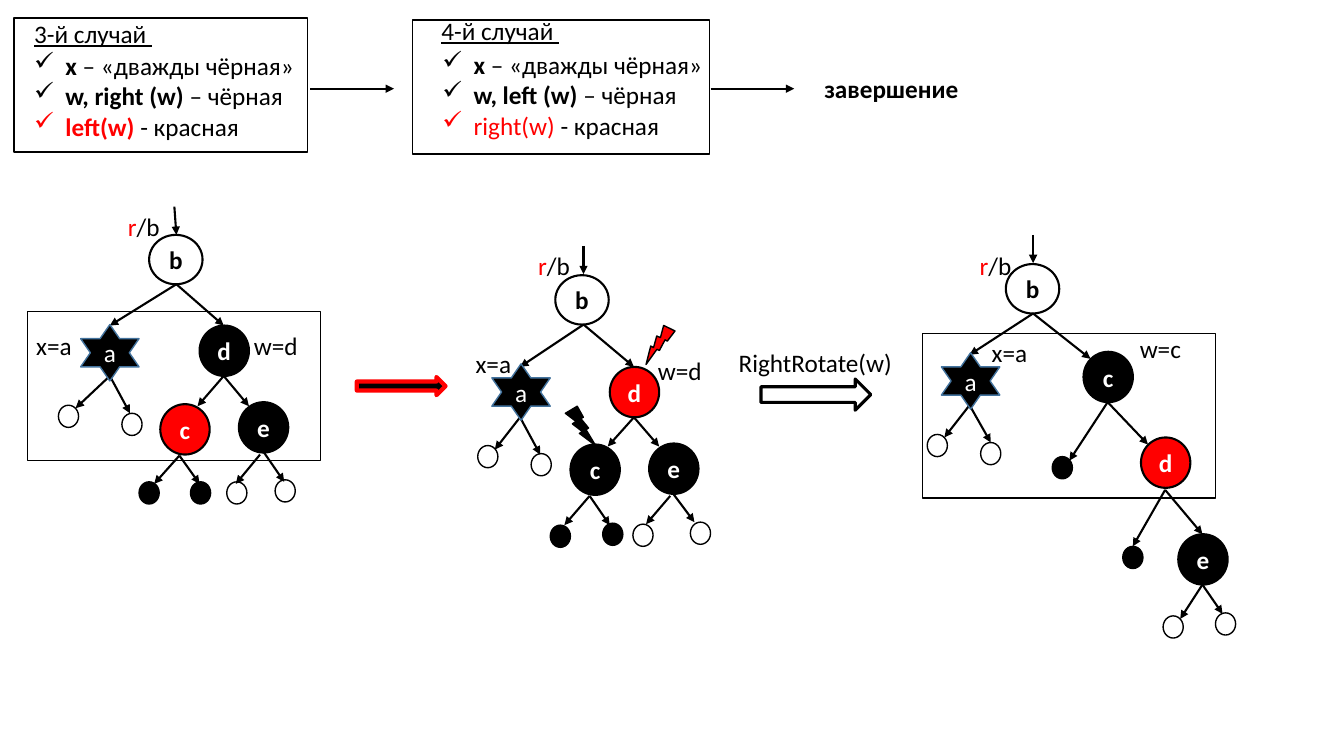
from lxml import etree
from pptx import Presentation
from pptx import util as u
from pptx.dml.color import RGBColor
from pptx.enum import shapes, text
from pptx.oxml.ns import qn

BLACK = RGBColor(0x00, 0x00, 0x00)
WHITE = RGBColor(0xFF, 0xFF, 0xFF)
RED = RGBColor(0xFF, 0x00, 0x00)
STAR_LINE = RGBColor(0x43, 0x73, 0x9E)
GRID = 2.54  # one layout unit in centimetres
PRESET = shapes.MSO_SHAPE

deck = Presentation()
deck.slide_width, deck.slide_height = u.Cm(33.87), u.Cm(19.05)
page = deck.slides.add_slide(deck.slide_layouts[6])


def put_shape(kind, place, fill=None, line=BLACK, width=1, label="", ink=WHITE, bold=True):
    """Add a preset shape with an optional centred label."""
    shape = page.shapes.add_shape(kind, *[u.Cm(GRID * v) for v in place])
    shape.shadow.inherit = False
    if fill is None:
        shape.fill.background()
    else:
        shape.fill.solid()
        shape.fill.fore_color.rgb = fill
    shape.line.color.rgb = line
    shape.line.width = u.Pt(width)
    if label:
        frame = shape.text_frame
        frame.text = label
        frame.word_wrap = False
        frame.margin_left = frame.margin_right = 0
        frame.vertical_anchor = text.MSO_ANCHOR.MIDDLE
        para = frame.paragraphs[0]
        para.alignment = text.PP_ALIGN.CENTER
        font = para.runs[0].font
        font.name, font.size, font.bold = "Calibri", u.Pt(18), bold
        font.color.rgb = ink
    return shape


def put_text(place, lines, wrap=False, bullets=False):
    """Add a text box; each line is a list of (words, colour, bold, underline)."""
    box = page.shapes.add_textbox(*[u.Cm(GRID * v) for v in place])
    frame = box.text_frame
    frame.word_wrap = wrap
    for number, line in enumerate(lines):
        para = frame.add_paragraph() if number else frame.paragraphs[0]
        for words, ink, bold, underline in line:
            span = para.add_run()
            span.text = words
            span.font.name, span.font.size = "Calibri", u.Pt(18)
            span.font.bold, span.font.underline = bold, underline
            span.font.color.rgb = ink
        if bullets:
            props = para._p.get_or_add_pPr()
            props.set("marL", str(u.Cm(0.79)))
            props.set("indent", str(u.Cm(-0.79)))
            etree.SubElement(props, qn("a:buChar")).set("char", "✓")


# Case descriptions
cases = [
    ("3-й случай ", (0.24, 0.13), (0.24, 0.45), "w, right (w) ", "left(w) ", True),
    ("4-й случай ", (4.28, 0.10), (4.29, 0.44), "w, left (w) ", "right(w) ", False),
]
for heading, heading_at, list_at, black_nodes, red_node, red_bold in cases:
    put_text((*list_at, 2.81, 1.01), [
        [("x", BLACK, True, False), (" – «дважды чёрная»", BLACK, False, False)],
        [(black_nodes, BLACK, True, False), ("– чёрная", BLACK, False, False)],
        [(red_node, RED, red_bold, False), ("- красная", BLACK, False, False)],
    ], bullets=True)
    put_text((*heading_at, 1.39, 0.4), [[(heading, BLACK, False, True)]])
put_text((8.08, 0.68, 1.54, 0.4), [[("завершение", BLACK, True, False)]])

# Arrows: start point, then every end point reached from it
arrows = [
    # between the cases
    ((3.08, 0.88), [(3.91, 0.88)]),
    ((7.05, 0.88), [(7.88, 0.88)]),
    # first tree
    ((1.73, 2.05), [(1.75, 2.33)]),
    ((1.75, 2.82), [(1.09, 3.23), (2.22, 3.23)]),
    ((1.09, 3.73), [(0.75, 4.05), (1.29, 4.10)]),
    ((2.22, 3.73), [(1.96, 4.03), (2.47, 4.03)]),
    ((1.78, 4.52), [(1.53, 4.80), (1.98, 4.80)]),
    ((2.58, 4.51), [(2.34, 4.80)]),
    ((2.62, 4.49), [(2.82, 4.78)]),
    # second tree
    ((5.79, 2.44), [(5.79, 2.72)]),
    ((5.79, 3.22), [(5.16, 3.64), (6.29, 3.64)]),
    ((5.16, 4.14), [(4.91, 4.46), (5.36, 4.51)]),
    ((6.29, 4.14), [(6.03, 4.43), (6.54, 4.43)]),
    ((5.85, 4.92), [(5.60, 5.21), (6.05, 5.21)]),
    ((6.65, 4.92), [(6.41, 5.20)]),
    ((6.68, 4.90), [(6.89, 5.18)]),
    # third tree
    ((10.25, 2.33), [(10.25, 2.61)]),
    ((10.25, 3.11), [(9.62, 3.52), (10.82, 3.56)]),
    ((9.62, 4.02), [(9.37, 4.34), (9.83, 4.39)]),
    ((10.99, 3.99), [(10.61, 4.57), (11.39, 4.41)]),
    ((11.56, 4.86), [(11.24, 5.42), (11.93, 5.30)]),
    ((11.93, 5.80), [(11.71, 6.14), (12.13, 6.09)]),
]
for start, ends in arrows:
    for end in ends:
        arrow = page.shapes.add_connector(
            shapes.MSO_CONNECTOR.STRAIGHT, *[u.Cm(GRID * v) for v in start + end])
        arrow.line.color.rgb = BLACK
        arrow.line.width = u.Pt(1.5)
        etree.SubElement(arrow.line._get_or_add_ln(), qn("a:tailEnd")).set("type", "triangle")
        etree.SubElement(arrow._element.spPr, qn("a:effectLst"))

# Small leaves
white_leaves = [
    (0.58, 4.02), (1.21, 4.10), (2.25, 4.78), (2.73, 4.76),
    (4.74, 4.42), (5.27, 4.50), (6.28, 5.20), (6.85, 5.18),
    (9.20, 4.31), (9.73, 4.39), (11.54, 6.11), (12.06, 6.08),
]
black_leaves = [(1.38, 4.78), (1.89, 4.78), (5.46, 5.21), (5.98, 5.19),
                (10.44, 4.53), (11.14, 5.42)]
for leaves, fill in ((white_leaves, None), (black_leaves, BLACK)):
    for left, top in leaves:
        put_shape(PRESET.OVAL, (left, top, 0.2, 0.22), fill)

# Named nodes
nodes = [
    ("d", 1.98, 3.23, BLACK), ("e", 2.37, 3.99, BLACK), ("c", 1.59, 4.01, RED),
    ("d", 6.05, 3.64, RED), ("e", 6.44, 4.40, BLACK), ("c", 5.66, 4.41, BLACK),
    ("d", 11.32, 4.34, RED), ("е", 11.69, 5.30, BLACK), ("c", 10.75, 3.49, BLACK),
]
for name, left, top, fill in nodes:
    put_shape(PRESET.OVAL, (left, top, 0.49, 0.5), fill, width=1.5, label=name)
for left, top in ((1.48, 2.33), (5.51, 2.73), (9.98, 2.62)):
    put_shape(PRESET.OVAL, (left, top, 0.53, 0.49), width=1.5, label="b", ink=BLACK)
for left, top in ((0.80, 3.22), (4.88, 3.61), (9.34, 3.50)):
    put_shape(PRESET.STAR_6_POINT, (left, top, 0.58, 0.56), BLACK, STAR_LINE,
              label="a", bold=False)

# Labels beside the nodes
for left, top in ((1.17, 2.05), (5.24, 2.43), (9.62, 2.43)):
    put_text((left, top, 0.52, 0.4), [[("r", RED, False, False), ("/b", BLACK, False, False)]])
labels = [
    ("x=a", 0.26, 3.23, 0.62, True), ("w=d", 2.42, 3.23, 0.64, False),
    ("x=a", 4.62, 3.41, 0.62, True), ("w=d", 6.43, 3.48, 0.64, False),
    ("x=a", 9.74, 3.30, 0.62, True), ("w=c", 11.21, 3.26, 0.62, False),
    ("RightRotate(w)", 7.23, 3.40, 1.98, True),
]
for words, left, top, width, wrap in labels:
    put_text((left, top, width, 0.4), [[(words, BLACK, False, False)]], wrap)

# Step arrows and recolouring bolts
put_shape(PRESET.RIGHT_ARROW, (3.54, 3.74, 0.88, 0.18), BLACK, RED, 3)
put_shape(PRESET.RIGHT_ARROW, (7.55, 3.76, 1.09, 0.31), width=2.25)
put_shape(PRESET.LIGHTNING_BOLT, (6.40, 3.20, 0.26, 0.41), RED).rotation = 62
put_shape(PRESET.LIGHTNING_BOLT, (5.61, 4.03, 0.30, 0.39), BLACK)

# Frames around the cases and the rotated parts
for frame_place in ((0.14, 0.18, 2.91, 1.33), (4.09, 0.20, 2.95, 1.33),
                    (0.27, 3.09, 2.91, 1.48), (9.15, 3.31, 2.91, 1.63)):
    put_shape(PRESET.RECTANGLE, frame_place)

deck.save("out.pptx")
